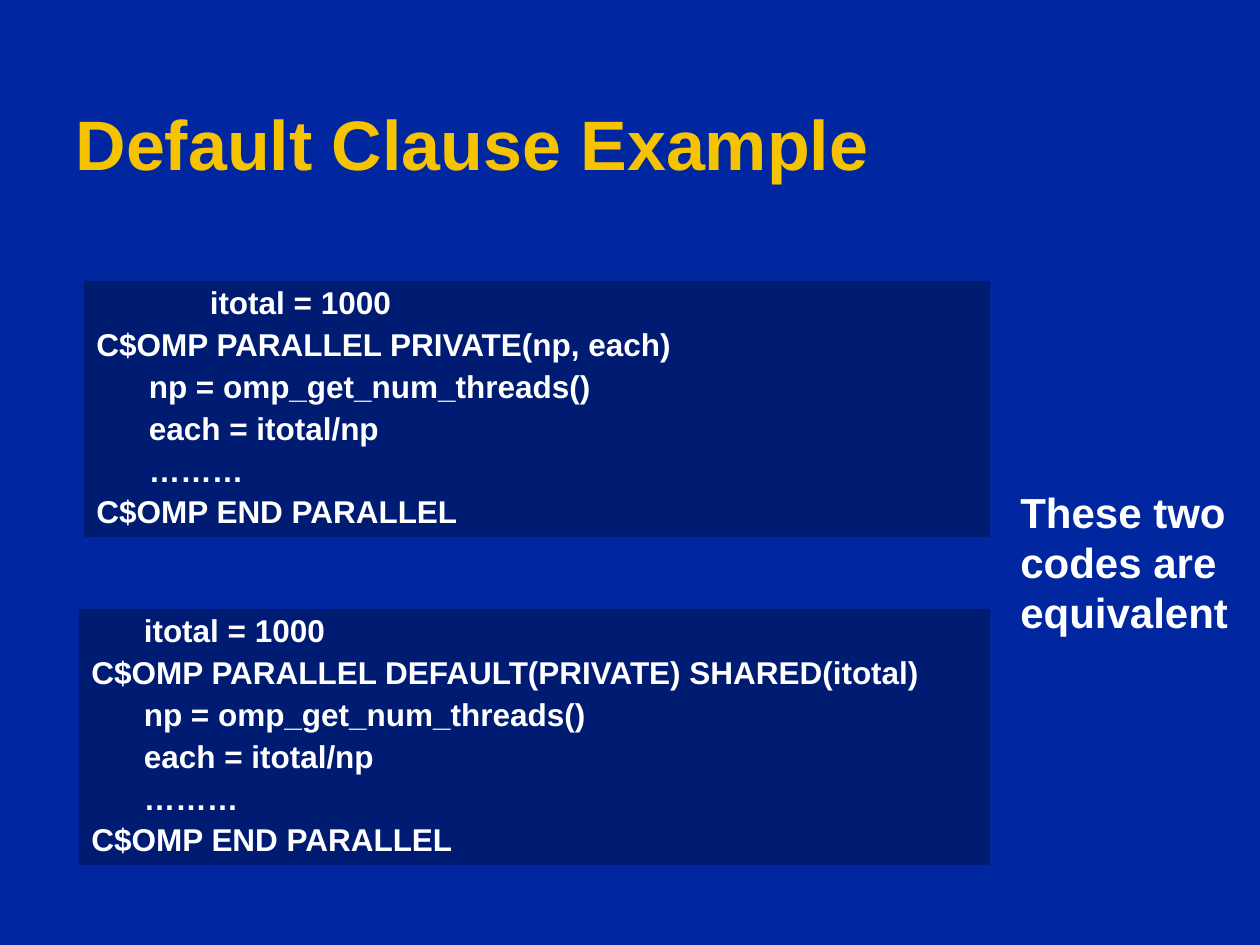
"""Build the slide comparing two equivalent OpenMP default clause listings."""
from pptx import Presentation
from pptx.dml.color import RGBColor
from pptx.enum.shapes import MSO_SHAPE
from pptx.enum.text import MSO_ANCHOR, PP_ALIGN
from pptx.util import Emu, Pt

RECT = MSO_SHAPE.RECTANGLE
TOP, MIDDLE, BOTTOM = MSO_ANCHOR.TOP, MSO_ANCHOR.MIDDLE, MSO_ANCHOR.BOTTOM
LEFT = PP_ALIGN.LEFT
PX = 914400 // 126
TITLE_ONLY = 5
INDENT = "      "
COLORS = {"background": "00279F", "panel": "001B72", "title": "F5C300", "text": "FFFFFF"}
SHARED_LINES = [
    INDENT + "np = omp_get_num_threads()",
    INDENT + "each = itotal/np",
    INDENT + "………",
    "C$OMP END PARALLEL",
]


def color(name):
    return RGBColor.from_string(COLORS[name])


class Deck:
    """Holds the text style and the current slide."""

    def __init__(self, width, height):
        self.font = "Arial"
        self.prs = Presentation()
        self.prs.slide_width, self.prs.slide_height = Emu(width * PX), Emu(height * PX)
        self.slide = self.prs.slides.add_slide(self.prs.slide_layouts[TITLE_ONLY])
        fill = self.slide.background.fill
        fill.solid()
        fill.fore_color.rgb = color("background")

    def box(self, *px):
        return [Emu(n * PX) for n in px]

    def style(self, p, size, name="text", spacing=None, before=0):
        p.alignment = LEFT
        p.line_spacing = spacing
        p.space_before = Pt(before)
        p.font.name, p.font.size, p.font.bold = self.font, Pt(size), True
        p.font.color.rgb = color(name)

    def title(self, text, *px):
        sp = self.slide.shapes.title
        sp.left, sp.top, sp.width, sp.height = self.box(*px)
        tf = sp.text_frame
        tf.text = text
        tf.vertical_anchor = BOTTOM
        self.style(tf.paragraphs[0], 40, "title", 0.89)

    def code(self, lines, *px):
        sp = self.slide.shapes.add_shape(RECT, *self.box(*px))
        sp.shadow.inherit = False
        sp.fill.solid()
        sp.fill.fore_color.rgb = color("panel")
        sp.line.fill.background()
        tf = sp.text_frame
        tf.word_wrap = True
        tf.vertical_anchor = MIDDLE
        tf.text = "\n".join(lines)
        for i, p in enumerate(tf.paragraphs):
            self.style(p, 18, spacing=0.9, before=4.5 if i else 0)
        return tf

    def note(self, text, *px):
        tf = self.slide.shapes.add_textbox(*self.box(*px)).text_frame
        tf.word_wrap = True
        tf.vertical_anchor = TOP
        tf.text = text
        self.style(tf.paragraphs[0], 24)


def main():
    deck = Deck(1260, 945)
    deck.title("Default Clause Example", 63, 34, 1171, 158)
    deck.code(
        [INDENT + "itotal = 1000", "C$OMP PARALLEL DEFAULT(PRIVATE) SHARED(itotal)"] + SHARED_LINES,
        79, 609, 911, 256)
    tf = deck.code(
        [INDENT, "C$OMP PARALLEL PRIVATE(np, each)"] + SHARED_LINES,
        84, 281, 906, 256)
    p = tf.paragraphs[0]
    p.runs[0].font.name = "Courier New"
    p.add_run().text = "itotal = 1000"
    deck.note("These two codes are equivalent", 1008, 480, 242, 164)
    deck.prs.save("out.pptx")


if __name__ == "__main__":
    main()
